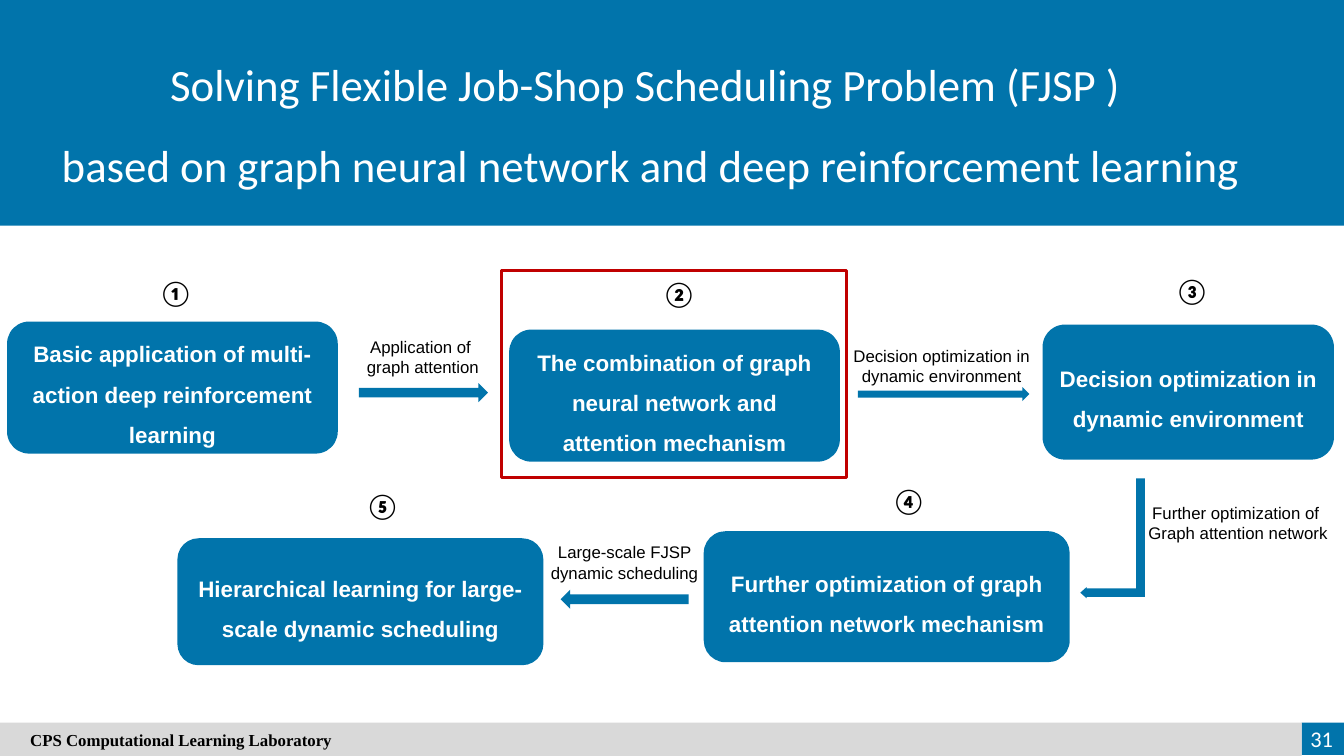
from pptx import Presentation
from pptx.dml.color import RGBColor
from pptx.enum import shapes, text
from pptx.util import Inches, Pt

TITLE = ["Solving Flexible Job-Shop Scheduling Problem (FJSP ) ",
         "based on graph neural network and deep reinforcement learning"]
FOOTER = "CPS Computational Learning Laboratory"
PAGE_NUMBER = "31"

# Each stage: number, place of the number, wording, place of the block
STAGES = [
    ("①", (1.48, 2.7), "Basic application of multi-action deep reinforcement learning",
     (0.07, 3.19, 3.28, 1.31)),
    ("②", (6.47, 2.71), "The combination of graph neural network and attention mechanism",
     (5.05, 3.27, 3.28, 1.31)),
    ("③", (11.56, 2.68), "Decision optimization in dynamic environment",
     (10.34, 3.22, 2.89, 1.34)),
    ("④", (8.75, 4.77), "Further optimization of graph attention network mechanism",
     (6.98, 5.27, 3.63, 1.3)),
    ("⑤", (3.53, 4.82), "Hierarchical learning for large-scale dynamic scheduling",
     (1.76, 5.34, 3.63, 1.26)),
]
STEP_LABELS = [
    (["Application of ", "graph attention"], (3.11, 3.29, 2.17, 0.5)),
    (["Decision optimization in dynamic environment"], (8.19, 3.38, 2.3, 0.5)),
    (["Further optimization of ", "Graph attention network"], (11.13, 4.94, 2.3, 0.5)),
    (["Large-scale FJSP dynamic scheduling"], (5.18, 5.33, 2.03, 0.5)),
]
# Each straight arrow: place, rotation
STRAIGHT_ARROWS = [
    ((3.56, 3.8, 1.28, 0.19), 0),
    ((8.51, 3.84, 1.7, 0.14), 0),
    ((5.56, 5.85, 1.27, 0.19), 180),
]
BENT_ARROW = (10.44, 5.02, 1.19, 0.64)
BENT_ADJUSTMENTS = (0.133, 0.087, 0.098)
HIGHLIGHT = (4.97, 2.68, 3.43, 2.06)

THEME = {
    "blue": RGBColor.from_string("0174AB"),
    "gray": RGBColor.from_string("D9D9D9"),
    "red": RGBColor.from_string("C00000"),
    "white": RGBColor.from_string("FFFFFF"),
    "black": RGBColor.from_string("000000"),
    "title": ("Calibri", 32, False),
    "stage": ("Arial", 16, True),
    "label": ("Arial", 12, False),
    "number": ("Calibri", 18, True),
    "footer": ("Times New Roman", 12, True),
    "page": ("Calibri", 16, False),
}
KIND = shapes.MSO_SHAPE
ALIGN = text.PP_ALIGN


def add_block(page, kind, place, fill):
    block = page.shapes.add_shape(kind, *map(Inches, place))
    block.shadow.inherit = False
    block.line.fill.background()
    block.fill.solid()
    block.fill.fore_color.rgb = THEME[fill]
    return block


def write(shape, lines, style, color, align=ALIGN.CENTER, spacing=None,
          anchor=text.MSO_ANCHOR.MIDDLE, wrap=True):
    """Fill a shape with one paragraph per line in a theme style."""
    frame = shape.text_frame
    frame.word_wrap = wrap
    frame.vertical_anchor = anchor
    frame.text = "\n".join(lines)
    name, size, bold = THEME[style]
    for para in frame.paragraphs:
        para.alignment = align
        if spacing:
            para.line_spacing = spacing
        para.font.name = name
        para.font.size = Pt(size)
        para.font.bold = bold
        para.font.color.rgb = THEME[color]


def add_text(page, place, lines, style, color, **options):
    box = page.shapes.add_textbox(*map(Inches, place))
    write(box, lines, style, color, **options)


def add_arrows(page):
    for place, rotation in STRAIGHT_ARROWS:
        arrow = add_block(page, KIND.RIGHT_ARROW, place, "blue")
        arrow.rotation = rotation
    bent = add_block(page, KIND.BENT_UP_ARROW, BENT_ARROW, "blue")
    bent.rotation = 90
    bent.element.spPr.xfrm.set("flipV", "1")
    for index, value in enumerate(BENT_ADJUSTMENTS):
        bent.adjustments[index] = value


def add_footer(page):
    add_block(page, KIND.RECTANGLE, (12.91, 7.17, 0.42, 0.32), "blue")
    bar = add_block(page, KIND.RECTANGLE, (0, 7.17, 12.91, 0.33), "gray")
    write(bar, [FOOTER], "footer", "black", align=ALIGN.LEFT)
    bar.text_frame.margin_left = Inches(0.3)
    add_text(page, (12.69, 7.13, 0.63, 0.4), [PAGE_NUMBER], "page", "white",
             align=ALIGN.RIGHT)


def main():
    deck = Presentation()
    deck.slide_width, deck.slide_height = Inches(13.33), Inches(7.5)
    page = deck.slides.add_slide(deck.slide_layouts[6])
    top = text.MSO_ANCHOR.TOP

    add_block(page, KIND.RECTANGLE, (0, 0, 13.39, 2.24), "blue")
    add_text(page, (0.34, 0.25, 12.23, 1.63), TITLE, "title", "white",
             spacing=1.5, anchor=top)

    for number, corner, wording, place in STAGES:
        block = add_block(page, KIND.ROUNDED_RECTANGLE, place, "blue")
        write(block, [wording], "stage", "white", spacing=1.5)
        add_text(page, (*corner, 0.45, 0.4), [number], "number", "black",
                 align=ALIGN.LEFT, anchor=top, wrap=False)
    add_arrows(page)
    for lines, place in STEP_LABELS:
        add_text(page, place, lines, "label", "black", anchor=top)
    add_footer(page)

    highlight = add_block(page, KIND.RECTANGLE, HIGHLIGHT, "white")
    highlight.fill.background()
    highlight.line.color.rgb = THEME["red"]
    highlight.line.width = Pt(2.25)

    deck.save("out.pptx")


if __name__ == "__main__":
    main()
